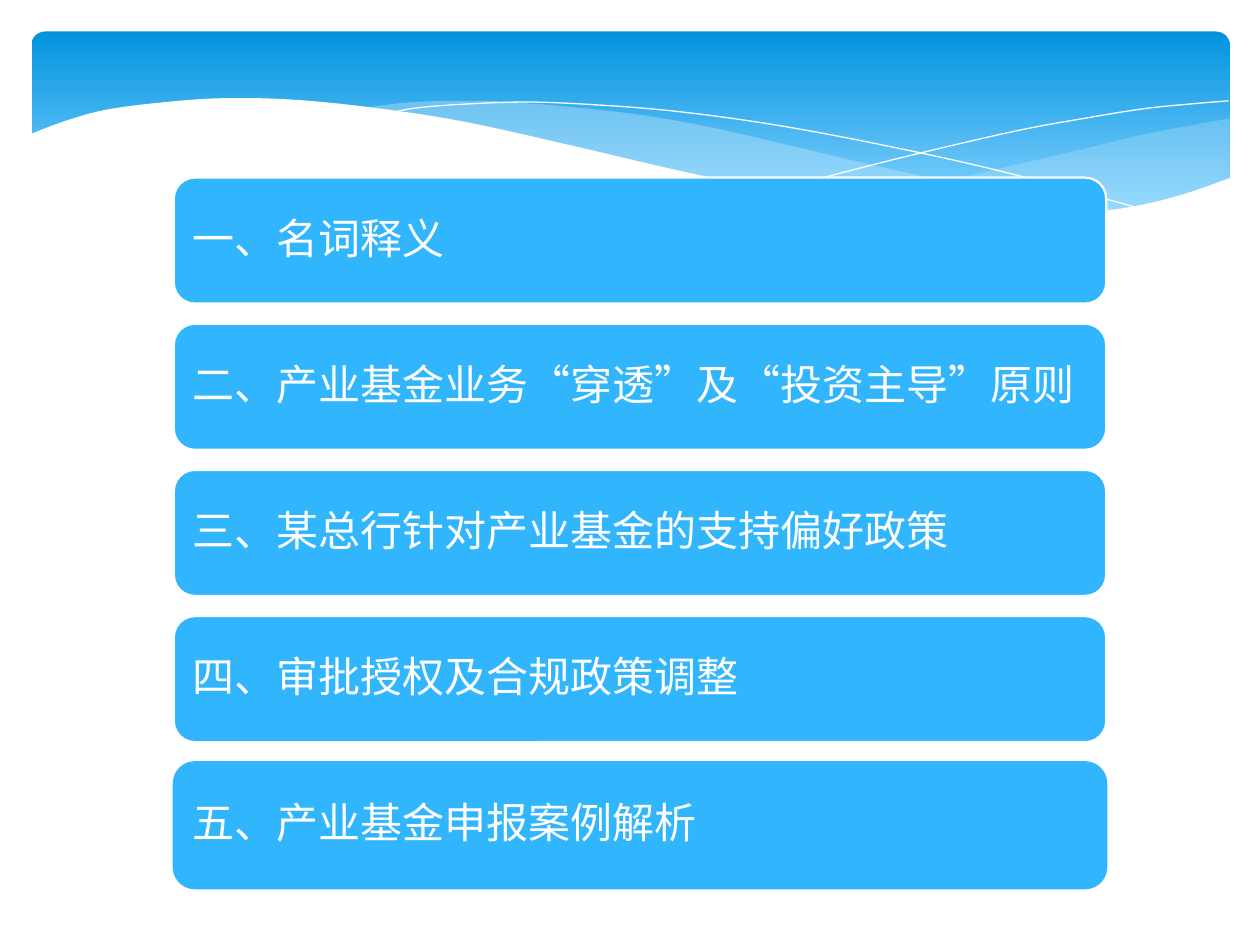
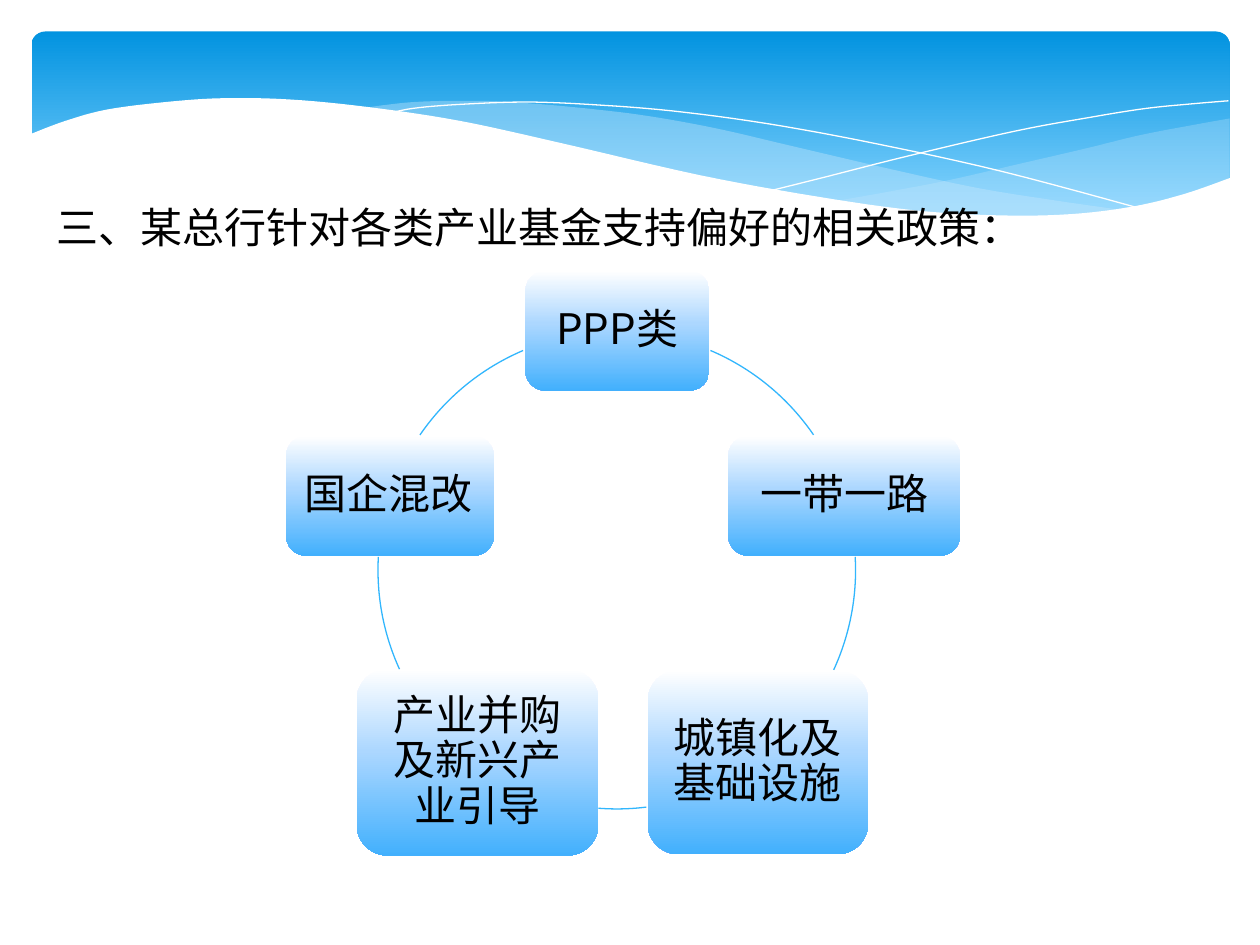
from lxml import etree
from pptx import Presentation
from pptx.dml.color import RGBColor
from pptx.enum.shapes import MSO_SHAPE
from pptx.enum.text import MSO_ANCHOR, MSO_AUTO_SIZE, PP_ALIGN
from pptx.oxml.ns import qn
from pptx.util import Inches, Pt

FONT = "Noto Sans CJK SC"
COLORS = {
    "white": "FFFFFF",
    "black": "000000",
    "accent": "31B6FD",
    "band_top": "0293E0",
    "band_bottom": "83D3FE",
    "wave": "C6E7FC",
    "node_middle": "ACD7FF",
    "node_bottom": "42B0FD",
}
BAND_GRADIENT = [(0, "band_top"), (90, "band_bottom")]
NODE_GRADIENT = [(0, "white"), (44, "node_middle"), (100, "node_bottom")]

RIGHT_WAVE_TOP = [(9.76, 0.94), (9.48, 0.99), (9.06, 1.07), (8.61, 1.18),
                  (8.05, 1.31), (7.53, 1.43), (7.06, 1.52), (6.61, 1.6)]
RIGHT_WAVE_BOTTOM = [(6.61, 1.6), (7.05, 1.65), (7.45, 1.69), (7.81, 1.72),
                     (8.35, 1.72), (8.72, 1.69), (9.13, 1.62), (9.49, 1.52),
                     (9.76, 1.41)]
MIDDLE_WAVE_TOP = [(8.93, 1.67), (8.37, 1.59), (7.75, 1.49), (7.06, 1.34),
                   (6.29, 1.16), (5.69, 1.02), (5.14, 0.92), (4.65, 0.86),
                   (4.2, 0.82), (3.8, 0.8), (3.28, 0.81), (2.86, 0.86)]
MIDDLE_WAVE_BOTTOM = [(2.86, 0.86), (3.42, 0.94), (4.04, 1.06), (4.49, 1.16),
                      (5.3, 1.35), (6.01, 1.5), (6.65, 1.61), (7.22, 1.68),
                      (7.73, 1.72), (8.18, 1.73), (8.57, 1.71), (8.93, 1.67)]
FALLING_LINE = [(3.09, 0.9), (3.28, 0.86), (3.63, 0.83), (4.16, 0.81),
                (4.69, 0.83), (5.33, 0.88), (6.08, 0.98), (6.95, 1.14),
                (7.95, 1.36), (9.07, 1.66)]
RISING_LINE = [(6.13, 1.51), (6.53, 1.41), (7.2, 1.24), (8.06, 1.04),
               (8.66, 0.93), (9.1, 0.86), (9.51, 0.82), (9.75, 0.8)]
WHITE_WAVE_TOP = [(9.77, 1.41), (9.4, 1.54), (8.99, 1.64), (8.5, 1.7),
                  (7.93, 1.71), (7.26, 1.67), (6.48, 1.56), (5.55, 1.39),
                  (4.47, 1.14), (3.65, 0.96), (2.92, 0.85), (2.3, 0.79),
                  (1.77, 0.78), (1.32, 0.81), (0.85, 0.87), (0.52, 0.96),
                  (0.23, 1.07)]
WHITE_WAVE_CORNERS = [(0.23, 2.24), (9.77, 2.24)]


def smooth_curve(knots, steps=6):
    padded = [knots[0], *knots, knots[-1]]
    curve = []
    for a, b, c, d in zip(padded, padded[1:], padded[2:], padded[3:]):
        for step in range(steps):
            t = step / steps
            curve.append(tuple(
                (2 * q + (r - p) * t + (2 * p - 5 * q + 4 * r - s) * t ** 2
                 + (3 * q - p - 3 * r + s) * t ** 3) / 2
                for p, q, r, s in zip(a, b, c, d)))
    return curve + [knots[-1]]


class Deck:
    def __init__(self):
        self.presentation = Presentation()
        self.presentation.slide_width = Inches(10)
        self.presentation.slide_height = Inches(7.5)
        self.slide = None

    def color(self, name):
        return RGBColor.from_string(COLORS[name])

    def new_slide(self, layout_name):
        layout = self.presentation.slide_layouts.get_by_name(layout_name)
        self.slide = self.presentation.slides.add_slide(layout)
        self.add_band()

    def add_band(self):
        band = self.add_shape(MSO_SHAPE.ROUNDED_RECTANGLE, 0.25, 0.25, 9.51, 1.56)
        band.adjustments[0] = 0.07
        self.fill_gradient(band, BAND_GRADIENT)
        self.add_wave(smooth_curve(RIGHT_WAVE_TOP) + smooth_curve(RIGHT_WAVE_BOTTOM),
                      "wave", 29)
        self.add_wave(smooth_curve(MIDDLE_WAVE_TOP) + smooth_curve(MIDDLE_WAVE_BOTTOM),
                      "wave", 40)
        for knots in (FALLING_LINE, RISING_LINE):
            self.add_curve(smooth_curve(knots))
        self.add_wave(smooth_curve(WHITE_WAVE_TOP) + WHITE_WAVE_CORNERS, "white")

    def add_outline(self, points, close):
        start, *others = [(Inches(x), Inches(y)) for x, y in points]
        builder = self.slide.shapes.build_freeform(*start)
        builder.add_line_segments(others, close=close)
        shape = builder.convert_to_shape()
        shape.shadow.inherit = False
        return shape

    def add_wave(self, points, color, opacity=100):
        wave = self.add_outline(points, True)
        wave.line.fill.background()
        wave.fill.solid()
        wave.fill.fore_color.rgb = self.color(color)
        if opacity < 100:
            color_element = wave.element.spPr.find(
                f"{qn('a:solidFill')}/{qn('a:srgbClr')}")
            etree.SubElement(color_element, qn("a:alpha"), val=str(opacity * 1000))

    def add_curve(self, points):
        curve = self.add_outline(points, False)
        curve.fill.background()
        self.set_line(curve, "white", 0)

    def add_shape(self, kind, left, top, width, height):
        shape = self.slide.shapes.add_shape(
            kind, Inches(left), Inches(top), Inches(width), Inches(height))
        shape.shadow.inherit = False
        shape.line.fill.background()
        return shape

    def set_line(self, shape, color, width):
        shape.line.color.rgb = self.color(color)
        shape.line.width = Pt(width)

    def fill_gradient(self, shape, stops):
        shape.fill.gradient()
        shape.fill.gradient_angle = 270
        stop_list = shape.element.spPr.find(f"{qn('a:gradFill')}/{qn('a:gsLst')}")
        for old_stop in list(stop_list):
            stop_list.remove(old_stop)
        for position, color in stops:
            stop = etree.SubElement(stop_list, qn("a:gs"), pos=str(position * 1000))
            etree.SubElement(stop, qn("a:srgbClr"), val=COLORS[color])

    def add_text(self, shape, text, color, alignment):
        paragraph = shape.text_frame.paragraphs[0]
        paragraph.alignment = alignment
        run = paragraph.add_run()
        run.text = text
        run.font.size = Pt(24)
        run.font.name = FONT
        run.font.color.rgb = self.color(color)
        etree.SubElement(run.font._element, qn("a:ea"), typeface=FONT)
        return paragraph

    def add_title(self, text):
        title = self.slide.shapes.title
        title.left, title.top = Inches(0.35), Inches(1.55)
        title.width, title.height = Inches(7.94), Inches(0.5)
        frame = title.text_frame
        frame.word_wrap = False
        frame.auto_size = MSO_AUTO_SIZE.NONE
        frame.vertical_anchor = MSO_ANCHOR.TOP
        self.add_text(title, text, "black", PP_ALIGN.LEFT)
        title.element.getparent().append(title.element)

    def add_box(self, text, box, color, alignment):
        shape = self.add_shape(MSO_SHAPE.ROUNDED_RECTANGLE, *box)
        frame = shape.text_frame
        frame.word_wrap = True
        frame.vertical_anchor = MSO_ANCHOR.MIDDLE
        frame.margin_left = frame.margin_right = Inches(0.1)
        frame.margin_top = frame.margin_bottom = Inches(0.1)
        self.add_text(shape, text, color, alignment).line_spacing = 0.9
        return shape

    def add_agenda_bar(self, text, top, border):
        bar = self.add_box(text, (1.38, top, 7.4, 1), "white", PP_ALIGN.LEFT)
        bar.fill.solid()
        bar.fill.fore_color.rgb = self.color("accent")
        self.set_line(bar, border, 1.25)

    def add_node(self, text, box, alignment):
        node = self.add_box(text, box, "black", alignment)
        self.fill_gradient(node, NODE_GRADIENT)

    def add_arc(self, start, end):
        arc = self.add_shape(MSO_SHAPE.ARC, 3, 2.63, 3.79, 3.79)
        arc.adjustments[0] = start * 0.6
        arc.adjustments[1] = end * 0.6
        arc.fill.background()
        self.set_line(arc, "accent", 0.75)


def build_agenda(deck):
    topics = [
        "一、名词释义",
        "二、产业基金业务“穿透”及“投资主导”原则",
        "三、某总行针对产业基金的支持偏好政策",
        "四、审批授权及合规政策调整",
        "五、产业基金申报案例解析",
    ]
    deck.new_slide("Blank")
    for index, topic in enumerate(topics):
        border = "accent" if topic == topics[-1] else "white"
        deck.add_agenda_bar(topic, 1.41 + 1.16 * index, border)


def build_policy_cycle(deck):
    nodes = [
        ("PPP类", (4.17, 2.15, 1.46, 0.95), PP_ALIGN.CENTER),
        ("一带一路", (5.78, 3.46, 1.84, 0.95), PP_ALIGN.CENTER),
        ("城镇化及基础设施", (5.14, 5.32, 1.75, 1.46), PP_ALIGN.CENTER),
        ("产业并购及新兴产业引导", (2.83, 5.31, 1.92, 1.48), PP_ALIGN.CENTER),
        ("国企混改", (2.27, 3.46, 1.65, 0.95), PP_ALIGN.LEFT),
    ]
    arcs = [(293.1, 325.5), (356.8, 24.7), (82.9, 94.4), (155.5, 183.2), (214.5, 246.9)]
    deck.new_slide("Title Only")
    deck.add_title("三、某总行针对各类产业基金支持偏好的相关政策：")
    for node, arc in zip(nodes, arcs):
        deck.add_node(*node)
        deck.add_arc(*arc)


def main():
    deck = Deck()
    build_agenda(deck)
    build_policy_cycle(deck)
    deck.presentation.save("out.pptx")


if __name__ == "__main__":
    main()
